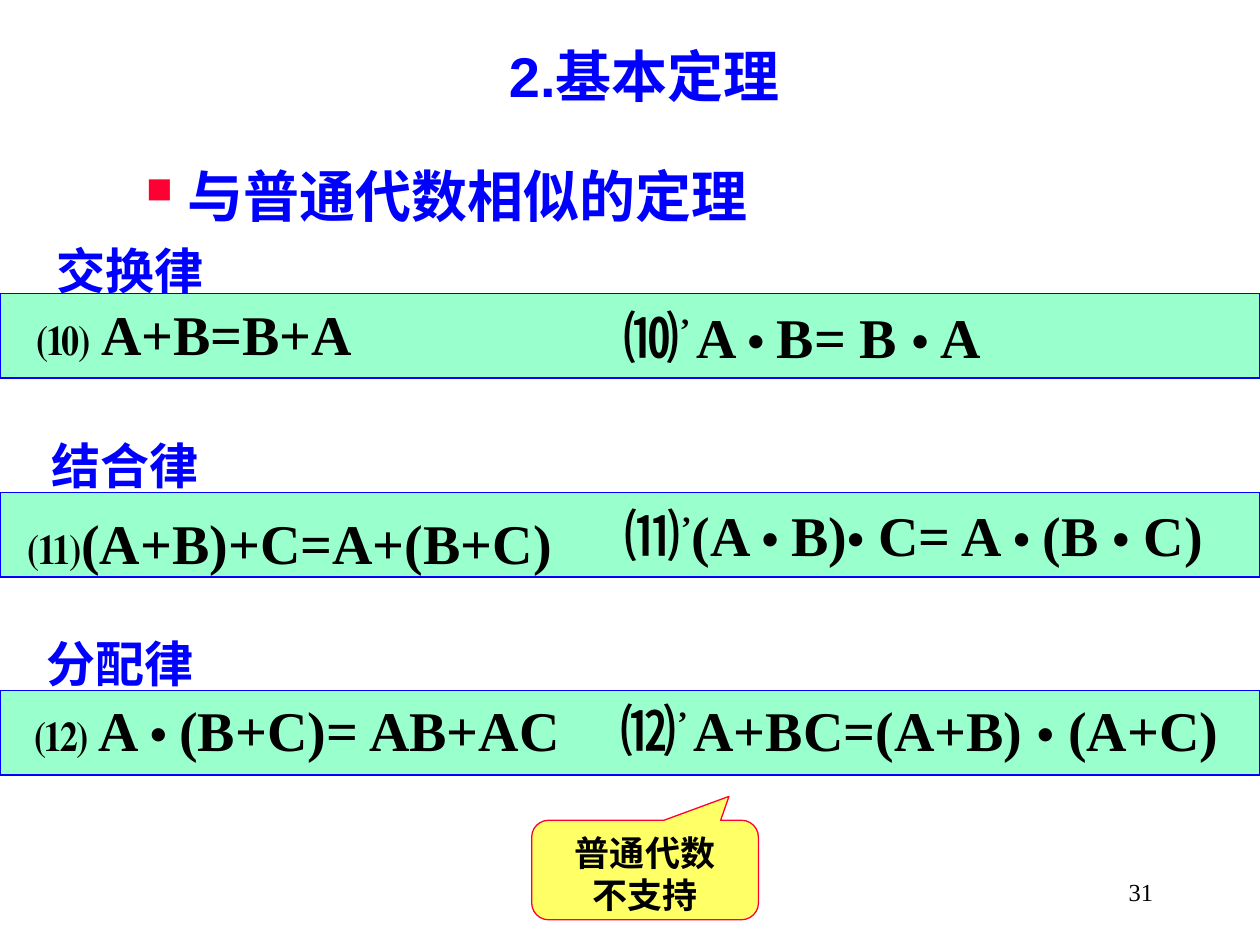
from pptx import Presentation
from pptx.dml.color import RGBColor
from pptx.enum.shapes import MSO_SHAPE
from pptx.enum.text import MSO_ANCHOR, PP_ALIGN
from pptx.oxml.ns import qn
from pptx.util import Inches, Pt
from lxml import etree

RECTANGLE = MSO_SHAPE.RECTANGLE
CALLOUT = MSO_SHAPE.ROUNDED_RECTANGULAR_CALLOUT
TOP, MIDDLE = MSO_ANCHOR.TOP, MSO_ANCHOR.MIDDLE
CENTER, RIGHT = PP_ALIGN.CENTER, PP_ALIGN.RIGHT

BLUE = RGBColor(0x00, 0x00, 0xFF)
BLACK = RGBColor(0x00, 0x00, 0x00)
RED = RGBColor(0xFF, 0x00, 0x33)
MINT = RGBColor(0x99, 0xFF, 0xCC)
YELLOW = RGBColor(0xFF, 0xFF, 0x66)
HEADING_FONT = "Arial"
FORMULA_FONT = "Times New Roman"
NUMBER_FONT = "Noto Sans CJK SC"

presentation = Presentation()
presentation.slide_width = Inches(10)
presentation.slide_height = Inches(7.5)
slide = presentation.slides.add_slide(presentation.slide_layouts[5])


def add_text_box(left, top, width, height):
    box = slide.shapes.add_textbox(Inches(left), Inches(top), Inches(width), Inches(height))
    box.text_frame.word_wrap = True
    return box.text_frame


def format_font(font, name, size, color, bold=True):
    font.name = name
    font.size = Pt(size)
    font.color.rgb = color
    font.bold = bold


title = slide.shapes.title
title.left, title.top = Inches(1.06), Inches(0.28)
title.width, title.height = Inches(8.11), Inches(0.64)
title.text_frame.text = "2.基本定理"
title.text_frame.vertical_anchor = TOP
title_paragraph = title.text_frame.paragraphs[0]
title_paragraph.alignment = CENTER
format_font(title_paragraph.runs[0].font, HEADING_FONT, 32, BLUE)

subtitle_frame = add_text_box(1.06, 1.23, 5.51, 0.64)
subtitle_frame.text = "与普通代数相似的定理"
subtitle = subtitle_frame.paragraphs[0]
properties = subtitle._p.get_or_add_pPr()
properties.set("marL", str(Inches(0.33)))
properties.set("indent", str(-Inches(0.33)))
bullet_color = etree.SubElement(properties, qn("a:buClr"))
etree.SubElement(bullet_color, qn("a:srgbClr")).set("val", str(RED))
etree.SubElement(properties, qn("a:buSzPct")).set("val", "65000")
etree.SubElement(properties, qn("a:buChar")).set("char", "■")
format_font(subtitle.runs[0].font, HEADING_FONT, 32, BLUE)

for band_top in (2.33, 3.91, 5.48):
    band = slide.shapes.add_shape(RECTANGLE, 0, Inches(band_top), Inches(10), Inches(0.67))
    band.shadow.inherit = False
    band.fill.solid()
    band.fill.fore_color.rgb = MINT
    band.line.color.rgb = BLUE
    band.line.width = Pt(1)

laws = [
    ("交换律", 0.35, 1.86, 3.49),
    ("结合律", 0.31, 3.41, 3.83),
    ("分配律", 0.27, 4.98, 3.95),
]
for law, left, top, width in laws:
    law_frame = add_text_box(left, top, width, 0.57)
    law_frame.text = law
    format_font(law_frame.paragraphs[0].runs[0].font, HEADING_FONT, 28, BLUE)

formulas = [
    (0.2, 2.33, 4.58, ["⑽ A+B=B+A"]),
    (4.85, 2.35, 5.42, ["⑽", "’ ", "A ", "• ", "B= B ", "• ", "A"]),
    (0.13, 3.99, 4.58, ["⑾(A+B)+C=A+(B+C)"]),
    (4.86, 3.92, 5.42,
     ["⑾", "’", "(A ", "• ", "B)", "•", " C= A ", "• ", "(B ", "•", " C)"]),
    (0.18, 5.47, 4.58, ["⑿ A ", "• ", "(B+C)= AB+AC"]),
    (4.83, 5.47, 5.42, ["⑿", "’ ", "A+BC=(A+B) ", "•", " (A+C)"]),
]
for left, top, width, parts in formulas:
    formula = add_text_box(left, top, width, 0.64).paragraphs[0]
    for part in parts:
        run = formula.add_run()
        run.text = part
        size = 28 if part.startswith("•") else 32
        name = NUMBER_FONT if part in ("⑽", "⑾", "⑿") else FORMULA_FONT
        format_font(run.font, name, size, BLACK)
        run_properties = run._r.get_or_add_rPr()
        if name == NUMBER_FONT:
            etree.SubElement(run_properties, qn("a:ea")).set("typeface", name)
        if part.startswith("’"):
            run_properties.set("baseline", "30000")

callout = slide.shapes.add_shape(CALLOUT, Inches(4.22), Inches(6.51), Inches(1.8), Inches(0.79))
callout.shadow.inherit = False
callout.adjustments[0] = 0.37
callout.adjustments[1] = -0.74
callout.adjustments[2] = 0.17
callout.fill.solid()
callout.fill.fore_color.rgb = YELLOW
callout.line.color.rgb = RED
callout.line.width = Pt(0.75)
callout.text_frame.text = "普通代数\n不支持"
callout.text_frame.vertical_anchor = TOP
for paragraph in callout.text_frame.paragraphs:
    paragraph.alignment = CENTER
    format_font(paragraph.runs[0].font, HEADING_FONT, 20, BLACK)

page_frame = add_text_box(7.17, 6.83, 2.08, 0.5)
page_frame.text = "31"
page_frame.vertical_anchor = MIDDLE
page_number = page_frame.paragraphs[0]
page_number.alignment = RIGHT
format_font(page_number.runs[0].font, FORMULA_FONT, 14, BLACK, bold=False)

presentation.save("out.pptx")
